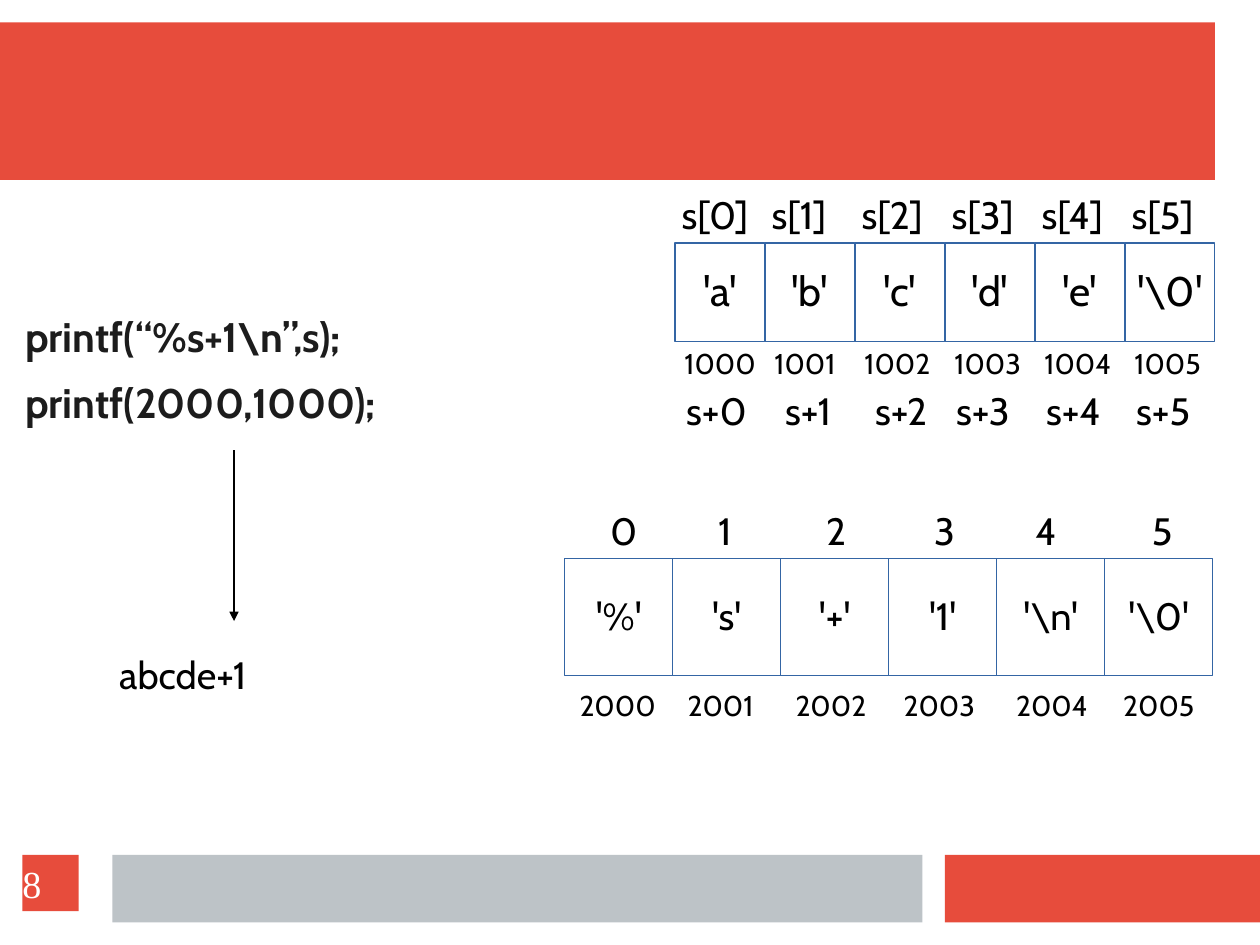
"""Build the slide on printf and the memory of two strings."""
from dataclasses import dataclass, field

from pptx import Presentation
from pptx.dml.color import RGBColor
from pptx.enum.shapes import MSO_CONNECTOR, MSO_SHAPE
from pptx.enum.text import MSO_ANCHOR, MSO_AUTO_SIZE, PP_ALIGN
from pptx.oxml.ns import qn
from pptx.slide import Slide
from pptx.text.text import TextFrame
from pptx.util import Cm, Pt

COLORS = {
    "red": "E74C3C",
    "gray": "BDC3C7",
    "blue": "3465A4",
    "white": "FFFFFF",
    "black": "000000",
    "ink": "1C1C1C",
}


@dataclass
class Style:
    size: float = 24
    color: str = "black"
    face: str = "Cabin"
    bold: bool = False
    align: PP_ALIGN = PP_ALIGN.LEFT
    anchor: MSO_ANCHOR = MSO_ANCHOR.TOP
    inset: tuple[float, float] = (0.25, 0.13)
    after: float = 0
    pitch: float = 0.97


@dataclass
class Box:
    left: float
    top: float
    width: float
    height: float
    fill: str = ""
    line: str = ""
    text: str = ""
    style: Style = field(default_factory=Style)


@dataclass
class Row:
    texts: list[str]
    first: Box
    step: float
    nudge: dict[int, float] = field(default_factory=dict)


def tint(name: str) -> RGBColor:
    return RGBColor.from_string(COLORS[name])


def assign(target: object, values: dict[str, object]) -> None:
    for name, value in values.items():
        setattr(target, name, value)


def write(frame: TextFrame, lines: list[str], style: Style) -> None:
    side, top = style.inset
    assign(frame, {
        "word_wrap": True,
        "auto_size": MSO_AUTO_SIZE.NONE,
        "vertical_anchor": style.anchor,
        "margin_left": Cm(side),
        "margin_right": Cm(0),
        "margin_top": Cm(top),
        "margin_bottom": Cm(0 if style.after else top),
    })
    if style.align == PP_ALIGN.CENTER:
        frame.margin_right = Cm(side)
    frame.text = "\n".join(lines)
    for para in frame.paragraphs:
        assign(para, {
            "alignment": style.align,
            "line_spacing": style.pitch,
            "space_before": Pt(0),
            "space_after": Pt(style.after),
        })
        for run in para.runs:
            assign(run.font, {"name": style.face, "size": Pt(style.size), "bold": style.bold})
            run.font.color.rgb = tint(style.color)


def place(slide: Slide, box: Box) -> None:
    area = [Cm(n) for n in (box.left, box.top, box.width, box.height)]
    if box.fill:
        shape = slide.shapes.add_shape(MSO_SHAPE.RECTANGLE, *area)
        shape.shadow.inherit = False
        shape.fill.solid()
        shape.fill.fore_color.rgb = tint(box.fill)
        if box.line:
            shape.line.color.rgb = tint(box.line)
            shape.line.width = Pt(0.75)
        else:
            shape.line.fill.background()
    else:
        shape = slide.shapes.add_textbox(*area)
    if box.text:
        write(shape.text_frame, [box.text], box.style)


def lay(slide: Slide, row: Row) -> None:
    base = row.first
    for i, text in enumerate(row.texts):
        left = base.left + i * row.step + row.nudge.get(i, 0)
        place(slide, Box(left, base.top, base.width, base.height,
                         base.fill, base.line, text, base.style))


def code(slide: Slide, lines: list[str]) -> None:
    slide.shapes.title.element.getparent().remove(slide.shapes.title.element)
    body = slide.placeholders[1]
    assign(body, {"left": Cm(0.4), "top": Cm(4), "width": Cm(12.4), "height": Cm(14.4)})
    write(body.text_frame, lines,
          Style(26, "ink", bold=True, inset=(0, 2.97), after=11.5))
    for para in body.text_frame.paragraphs:
        props = para._p.get_or_add_pPr()
        props.set("marL", str(Cm(0.97)))
        props.set("indent", str(Cm(-0.81)))
        mark = props.makeelement(qn("a:buNone"), {})
        props.append(mark)


def arrow(slide: Slide, left: float, top: float, end: float) -> None:
    link = slide.shapes.add_connector(
        MSO_CONNECTOR.STRAIGHT, Cm(left), Cm(top), Cm(left), Cm(end))
    link.line.color.rgb = tint("black")
    link.line.width = Pt(0.75)
    line = link.line._get_or_add_ln()
    line.append(line.makeelement(qn("a:tailEnd"), {"type": "triangle"}))
    props = link._element.spPr
    props.append(props.makeelement(qn("a:effectLst"), {}))


def main() -> None:
    deck = Presentation()
    assign(deck, {"slide_width": Cm(28), "slide_height": Cm(21)})
    slide = deck.slides.add_slide(deck.slide_layouts[1])
    code(slide, ["printf(“%s+1\\n”,s);", "printf(2000,1000);"])

    mid = {"align": PP_ALIGN.CENTER, "anchor": MSO_ANCHOR.MIDDLE, "inset": (0, 0.13)}
    small = Style(18, inset=(0.53, 0.13))
    page = Style(24, "white", "Times New Roman", anchor=MSO_ANCHOR.MIDDLE,
                 inset=(0, 0), pitch=1)
    for box in (
        Box(0, 0.5, 27, 3.5, "red"),
        Box(21, 19, 7, 1.5, "red"),
        Box(2.5, 19, 18, 1.5, "gray"),
        Box(0.5, 19, 1.25, 1.25, "red", text="8", style=page),
        Box(2.4, 14.4, 4.35, 1.27, text="abcde+1"),
    ):
        place(slide, box)

    count = range(6)
    for row in (
        Row(["'%'", "'s'", "'+'", "'1'", "'\\n'", "'\\0'"],
            Box(12.55, 12.41, 2.4, 2.6, "white", "blue", style=Style(24, **mid)), 2.4),
        Row([f"{2000 + i}" for i in count],
            Box(12.35, 15.2, 2.51, 1.02, style=small), 2.4, {4: 0.1, 5: 0.08}),
        Row([f"{i}" for i in count],
            Box(13.31, 11.2, 1.04, 1.27), 2.4, {4: -0.15, 5: 0.04}),
        Row(["'a'", "'b'", "'c'", "'d'", "'e'", "'\\0'"],
            Box(15, 5.4, 2, 2.2, "white", "blue", style=Style(26, **mid)), 2),
        Row([f"s[{i}]" for i in count], Box(14.9, 4.19, 2.13, 1.27), 2),
        Row([f"{1000 + i}" for i in count],
            Box(14.68, 7.6, 2.51, 1.02, style=small), 2),
        Row([f"s+{i}" for i in count],
            Box(15, 8.53, 2.18, 1.27), 2, {1: 0.2, 2: 0.2}),
    ):
        lay(slide, row)
    arrow(slide, 5.2, 10, 13.8)
    deck.save("out.pptx")


if __name__ == "__main__":
    main()
